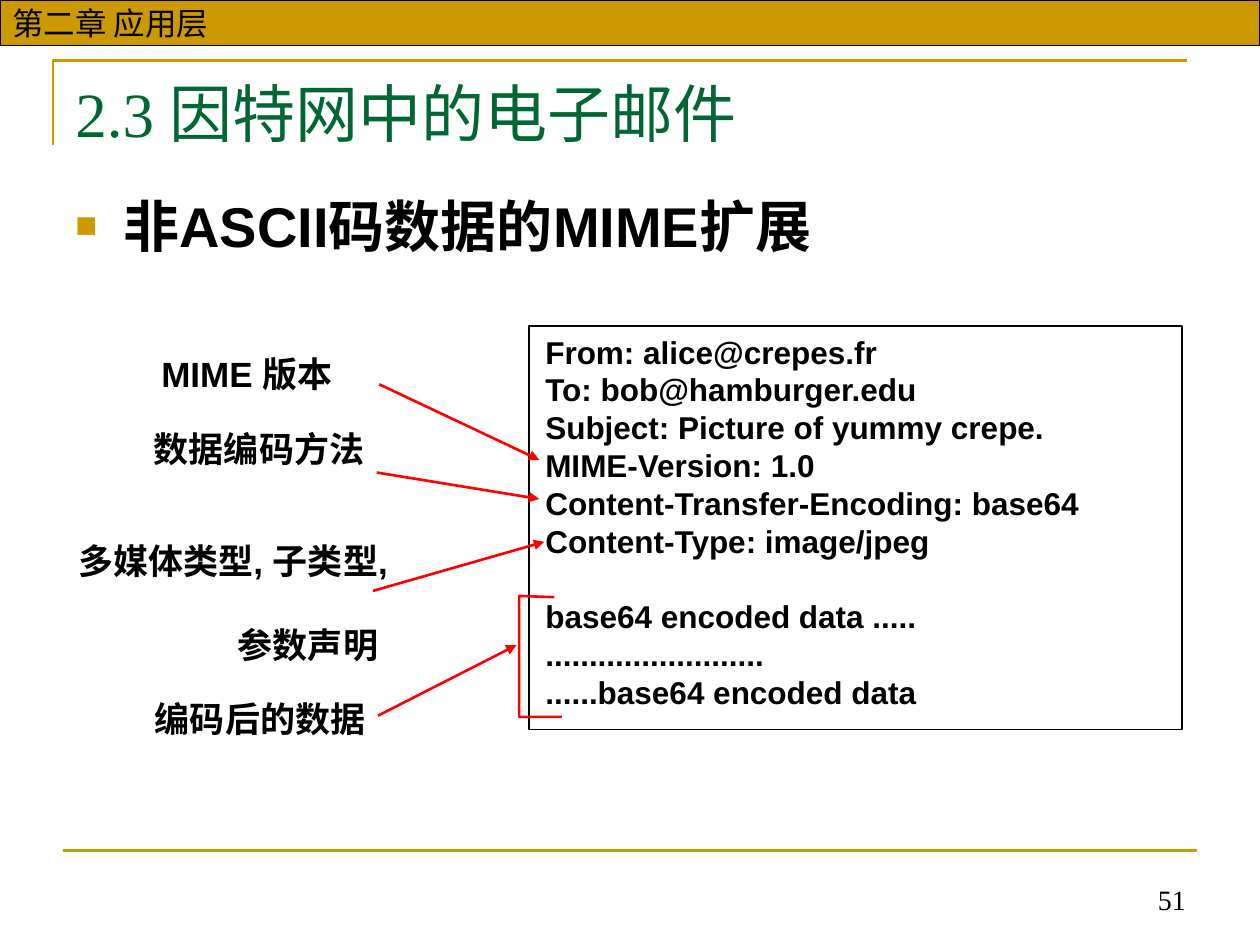
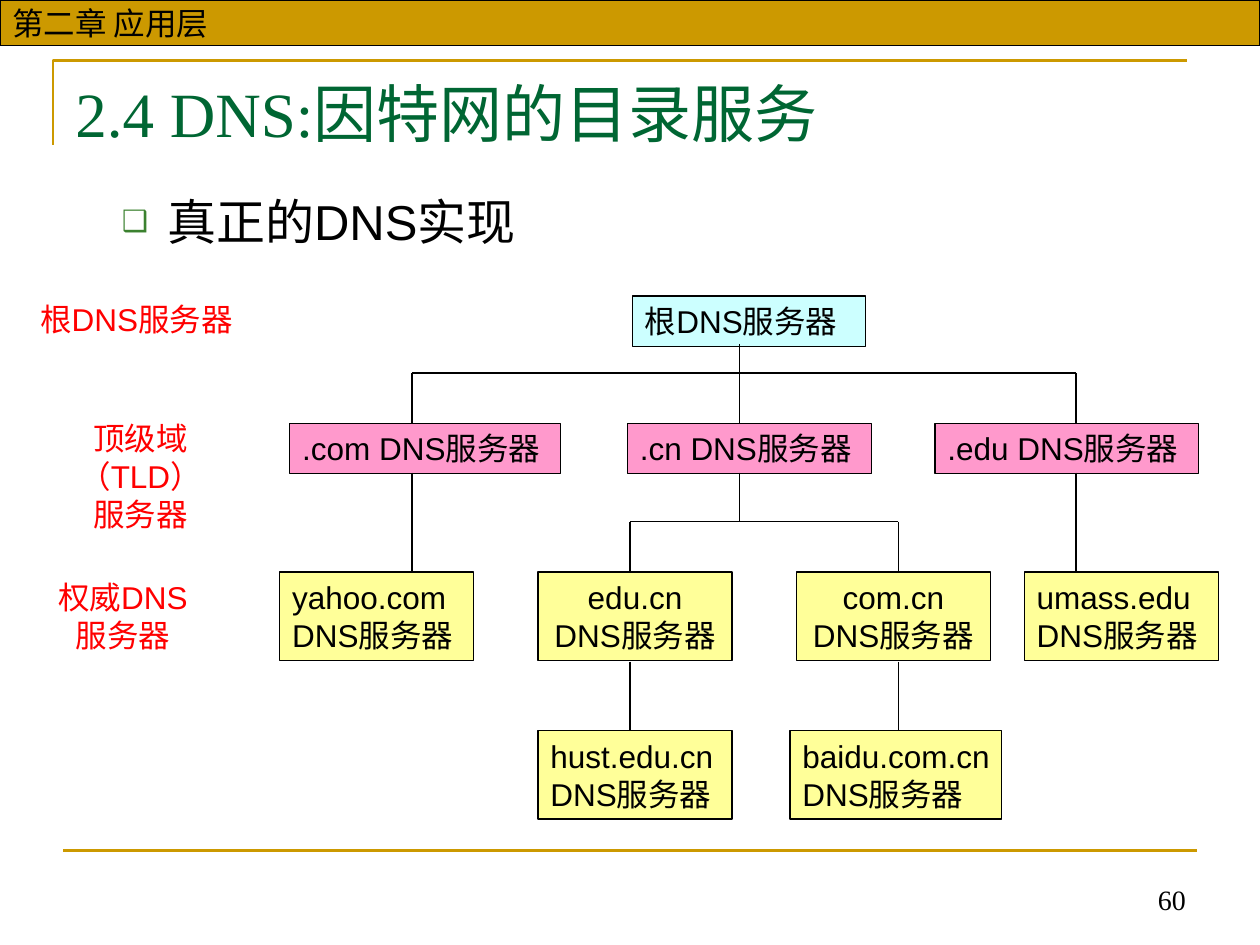
from dataclasses import dataclass
from typing import NamedTuple, Optional

from lxml import etree
from pptx import Presentation
from pptx.dml.color import RGBColor
from pptx.enum.shapes import MSO_CONNECTOR, MSO_SHAPE
from pptx.enum.text import MSO_ANCHOR, MSO_AUTO_SIZE, PP_ALIGN
from pptx.oxml.ns import qn
from pptx.util import Inches, Pt


@dataclass(frozen=True)
class Theme:
    gold: str = "CC9900"
    green: str = "006633"
    leaf: str = "3B812F"
    black: str = "000000"
    red: str = "FF0000"
    cyan: str = "CCFFFF"
    pink: str = "FF99CC"
    yellow: str = "FFFF99"
    sans: str = "Arial"
    serif: str = "Times New Roman"
    title: float = 36
    heading: float = 32
    subheading: float = 28
    label: float = 20
    body: float = 18
    number: float = 16
    leading: float = 1.2
    thin: float = 0.75
    frame: float = 1
    thick: float = 1.5


class Box(NamedTuple):
    left: float
    top: float
    width: float
    height: float


class Segment(NamedTuple):
    x1: float
    y1: float
    x2: float
    y2: float


class Bullet(NamedTuple):
    char: str
    color: str
    percent: int
    margin: float
    hang: float


class Label(NamedTuple):
    text: str
    box: Box
    align: PP_ALIGN = PP_ALIGN.LEFT
    tight: bool = True


class Server(NamedTuple):
    text: str
    box: Box
    fill: str
    align: PP_ALIGN = PP_ALIGN.LEFT


T = Theme()
LEFT, CENTER, RIGHT = PP_ALIGN.LEFT, PP_ALIGN.CENTER, PP_ALIGN.RIGHT
TIGHT_INSETS = {LEFT: (0.1, 0), CENTER: (0, 0), RIGHT: (0, 0.1)}
NORMAL_INSETS = (0.1, 0.1)

MAIL = """From: alice@crepes.fr
To: bob@hamburger.edu
Subject: Picture of yummy crepe.
MIME-Version: 1.0
Content-Transfer-Encoding: base64
Content-Type: image/jpeg
base64 encoded data .....
.........................
......base64 encoded data"""
MAIL_BODY_START = 6

MAIL_LABELS = [
    Label("多媒体类型, 子类型, \n参数声明", Box(0.5, 4.23, 2.6, 1.1), RIGHT, False),
    Label("数据编码方法", Box(1.12, 3.34, 1.87, 0.44), RIGHT),
    Label("MIME 版本", Box(1.15, 2.75, 1.62, 0.44), CENTER),
    Label("编码后的数据", Box(1.13, 5.49, 1.87, 0.44), CENTER),
]
MAIL_ARROWS = [
    Segment(3.01, 3.05, 4.28, 3.65),
    Segment(2.99, 3.75, 4.28, 3.96),
    Segment(2.96, 4.69, 4.32, 4.3),
    Segment(3, 5.68, 4.1, 5.12),
]

ROOT_Y, TLD_Y, AUTH_Y, LOCAL_Y = 2.35, 3.36, 4.54, 5.8
ONE_LINE, TWO_LINES = 0.4, 0.7
COM_X, CN_X, EDU_X = 3.27, 5.87, 8.54
EDU_CN_X, COM_CN_X = 5, 7.13
TLD_BUS, CN_BUS = 2.96, 4.14
TLD_END, AUTH_END = 3.75, 5.25

SERVERS = [
    Server("根DNS服务器", Box(5.02, ROOT_Y, 1.85, ONE_LINE), T.cyan),
    *[
        Server(f".{name} DNS服务器", Box(x, TLD_Y, width, ONE_LINE), T.pink)
        for name, x, width in [("com", 2.3, 2.15), ("cn", 4.98, 1.94), ("edu", 7.42, 2.09)]
    ],
    *[
        Server(f"{name}\nDNS服务器", Box(x, y, width, TWO_LINES), T.yellow, align)
        for name, x, y, width, align in [
            ("yahoo.com", 2.22, AUTH_Y, 1.54, LEFT),
            ("edu.cn", 4.27, AUTH_Y, 1.54, CENTER),
            ("com.cn", 6.32, AUTH_Y, 1.54, CENTER),
            ("umass.edu", 8.13, AUTH_Y, 1.54, LEFT),
            ("hust.edu.cn", 4.27, LOCAL_Y, 1.54, LEFT),
            ("baidu.com.cn", 6.27, LOCAL_Y, 1.68, LEFT),
        ]
    ],
]
BRANCHES = [
    Segment(CN_X, 2.73, CN_X, TLD_BUS),
    Segment(COM_X, TLD_BUS, EDU_X, TLD_BUS),
    *[Segment(x, TLD_BUS, x, TLD_Y) for x in (COM_X, CN_X, EDU_X)],
    *[Segment(x, TLD_END, x, AUTH_Y) for x in (COM_X, EDU_X)],
    Segment(CN_X, TLD_END, CN_X, CN_BUS),
    Segment(EDU_CN_X, CN_BUS, COM_CN_X, CN_BUS),
    *[Segment(x, CN_BUS, x, AUTH_Y) for x in (EDU_CN_X, COM_CN_X)],
    *[Segment(x, AUTH_END, x, LOCAL_Y) for x in (EDU_CN_X, COM_CN_X)],
]
LEVEL_LABELS = [
    Label("根DNS服务器", Box(0.22, 2.33, 1.85, ONE_LINE)),
    Label("顶级域（TLD）\n服务器", Box(0.27, 3.28, 1.69, 1), CENTER, False),
    Label("权威DNS\n服务器", Box(0.33, AUTH_Y, 1.29, TWO_LINES), CENTER),
]


def emu(values) -> list:
    return [Inches(v) for v in values]


def add_bullet(p, bullet: Bullet) -> None:
    pPr = p._p.get_or_add_pPr()
    pPr.set("marL", str(Inches(bullet.margin)))
    pPr.set("indent", str(-Inches(bullet.hang)))
    color = etree.SubElement(pPr, qn("a:buClr"))
    etree.SubElement(color, qn("a:srgbClr"), val=bullet.color)
    etree.SubElement(pPr, qn("a:buSzPct"), val=str(bullet.percent * 1000))
    etree.SubElement(pPr, qn("a:buFont"), typeface=T.sans)
    etree.SubElement(pPr, qn("a:buChar"), char=bullet.char)


def write(
    sp,
    text: str,
    *,
    size: float = T.body,
    color: str = T.black,
    font: str = T.sans,
    bold: bool = False,
    align: PP_ALIGN = LEFT,
    anchor: MSO_ANCHOR = MSO_ANCHOR.TOP,
    tight: bool = False,
    bullet: Optional[Bullet] = None,
) -> None:
    tf = sp.text_frame
    tf.word_wrap = True
    tf.auto_size = MSO_AUTO_SIZE.NONE
    tf.vertical_anchor = anchor
    tf.margin_left, tf.margin_right = emu(TIGHT_INSETS[align] if tight else NORMAL_INSETS)
    for i, line in enumerate(text.split("\n")):
        p = tf.paragraphs[0] if i == 0 else tf.add_paragraph()
        if bullet:
            add_bullet(p, bullet)
        p.alignment = align
        p.line_spacing = Pt(size * T.leading)
        r = p.add_run()
        r.text = line
        r.font.size = Pt(size)
        r.font.name = font
        r.font.bold = bold
        r.font.color.rgb = RGBColor.from_string(color)


def add_text(s, box: Box, text: str, **fmt):
    sp = s.shapes.add_textbox(*emu(box))
    write(sp, text, **fmt)
    return sp


def outline(sp, color: str, width: float, fill: Optional[str] = None) -> None:
    sp.shadow.inherit = False
    sp.line.color.rgb = RGBColor.from_string(color)
    sp.line.width = Pt(width)
    if fill:
        sp.fill.solid()
        sp.fill.fore_color.rgb = RGBColor.from_string(fill)
    else:
        sp.fill.background()


def add_rect(s, box: Box, *, fill: Optional[str] = None, width: float = T.thin):
    sp = s.shapes.add_shape(MSO_SHAPE.RECTANGLE, *emu(box))
    outline(sp, T.black, width, fill)
    return sp


def add_polyline(s, points: list, color: str) -> None:
    start, *rest = [tuple(emu(point)) for point in points]
    builder = s.shapes.build_freeform(*start)
    builder.add_line_segments(rest, close=False)
    outline(builder.convert_to_shape(), color, T.thick)


def add_line(s, seg: Segment, color: str, width: float, arrow: bool = False) -> None:
    line = s.shapes.add_connector(MSO_CONNECTOR.STRAIGHT, *emu(seg))
    line.line.color.rgb = RGBColor.from_string(color)
    line.line.width = Pt(width)
    if arrow:
        etree.SubElement(line.line._get_or_add_ln(), qn("a:tailEnd"), type="triangle")
    etree.SubElement(line._element.spPr, qn("a:effectLst"))


def add_base_slide(prs, title: str, number: int):
    s = prs.slides.add_slide(prs.slide_layouts[6])
    add_polyline(s, [(0.42, 1.15), (0.42, 0.48), (9.42, 0.48)], T.gold)
    add_line(s, Segment(0.5, 6.75, 9.5, 6.75), T.gold, T.thick)
    band = add_rect(s, Box(0, 0, 10, 0.36), fill=T.gold)
    write(band, "第二章 应用层", anchor=MSO_ANCHOR.MIDDLE)
    add_text(s, Box(6.34, 6.82, 3.17, 0.5), str(number), size=T.number,
             font=T.serif, align=RIGHT, anchor=MSO_ANCHOR.BOTTOM)
    add_text(s, Box(0.5, 0.54, 9, 0.77), title, size=T.title, color=T.green,
             font=T.serif)
    return s


def add_labels(s, labels: list, **fmt) -> None:
    for label in labels:
        add_text(s, label.box, label.text, align=label.align, tight=label.tight, **fmt)


def build_mime(prs) -> None:
    s = add_base_slide(prs, "2.3 因特网中的电子邮件", 51)
    add_text(s, Box(0.5, 1.47, 9, 5.2), "非ASCII码数据的MIME扩展", size=T.heading,
             bold=True, bullet=Bullet("■", T.gold, 65, 0.38, 0.38))
    mail = add_text(s, Box(4.23, 2.59, 5.44, 3.4), MAIL, bold=True)
    mail.text_frame.paragraphs[MAIL_BODY_START].space_before = Pt(T.body * T.leading)
    add_rect(s, Box(4.2, 2.59, 5.18, 3.2), width=T.frame)
    add_labels(s, MAIL_LABELS, size=T.label, bold=True)
    for arrow in MAIL_ARROWS:
        add_line(s, arrow, T.red, T.thick, arrow=True)
    add_polyline(s, [(4.4, 4.74), (4.12, 4.73), (4.12, 5.69), (4.46, 5.69)], T.red)


def build_dns(prs) -> None:
    s = add_base_slide(prs, "2.4 DNS:因特网的目录服务", 60)
    add_text(s, Box(0.5, 1.47, 9, 0.71), "真正的DNS实现", size=T.subheading,
             bullet=Bullet("❑", T.leaf, 60, 0.73, 0.36))
    for server in SERVERS:
        sp = add_rect(s, server.box, fill=server.fill)
        write(sp, server.text, align=server.align, tight=True)
    for branch in BRANCHES:
        add_line(s, branch, T.black, T.thin)
    add_labels(s, LEVEL_LABELS, color=T.red)


def main() -> None:
    prs = Presentation()
    prs.slide_width, prs.slide_height = Inches(10), Inches(7.5)
    build_mime(prs)
    build_dns(prs)
    prs.save("out.pptx")


if __name__ == "__main__":
    main()
